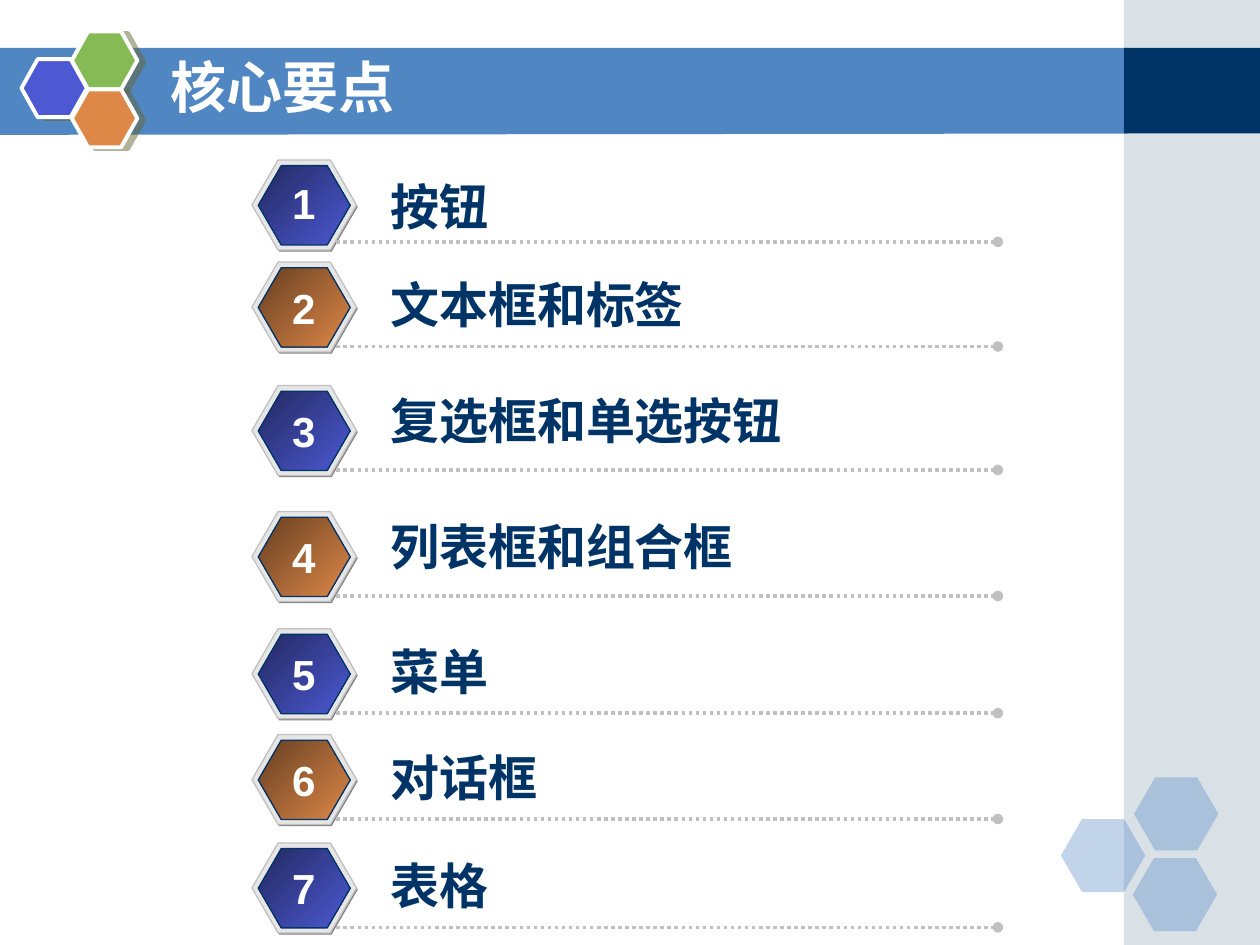
from dataclasses import dataclass
from typing import Any, NamedTuple, Optional

import lxml.etree
import pptx
import pptx.dml.color
import pptx.enum.dml
import pptx.enum.shapes
import pptx.enum.text
import pptx.oxml.ns
import pptx.util

WIDE, HIGH = 10, 7.5
COLS, ROWS = 100, 75  # square grid cells over the whole slide
SHAPE = pptx.enum.shapes.MSO_SHAPE
ALIGN = pptx.enum.text.PP_ALIGN
qn = pptx.oxml.ns.qn


@dataclass(frozen=True)
class Theme:
    band: str = "5086C2"
    navy: str = "003366"
    side: str = "A0B5C4"
    white: str = "FFFFFF"
    blue: str = "4C59D2"
    green: str = "85BA54"
    orange: str = "DE8848"
    shade: str = "666633"
    under: str = "808080"
    rim: str = "E6E6E6"
    gray: str = "C0C0C0"
    ramps: tuple = (("232961", "4C59D2"), ("673F21", "DE8848"))
    latin: str = "Arial"
    asian: str = "Noto Sans CJK SC"
    title: int = 32
    label: int = 28
    digit: int = 24


class Box(NamedTuple):
    """Left, top, width and height in grid cells."""
    left: float
    top: float
    width: float
    height: float


class Point(NamedTuple):
    text: str
    base: float  # row of the dotted line
    rise: float  # rows from the label's top down to the line


THEME = Theme()
POINTS = (
    Point("按钮", 19.2, 5.7),
    Point("文本框和标签", 27.5, 6.2),
    Point("复选框和单选按钮", 37.3, 6.8),
    Point("列表框和组合框", 47.3, 6.8),
    Point("菜单", 56.6, 6.2),
    Point("对话框", 65, 6.2),
    Point("表格", 73.6, 6.2),
)
MARKS = ((1.7, 4.7, THEME.blue), (5.7, 2.5, THEME.green), (5.7, 7.1, THEME.orange))
FAINT = ((84.2, 65), (90, 61.7), (89.9, 68.1))


def col(n: float) -> int:
    return pptx.util.Inches(n * WIDE / COLS)


def row(n: float) -> int:
    return pptx.util.Inches(n * HIGH / ROWS)


def place(box: Box) -> tuple:
    return col(box.left), row(box.top), col(box.width), row(box.height)


def tint(code: str) -> Any:
    return pptx.dml.color.RGBColor.from_string(code)


def fade(color: Any, share: int) -> None:
    """Make a colour element opaque by a share in percent."""
    lxml.etree.SubElement(color, qn("a:alpha"), val=str(share * 1000))


def paint(shape: Any, fill: str, line: Optional[str] = None,
          weight: float = 0.75, share: int = 100) -> None:
    shape.shadow.inherit = False
    shape.fill.solid()
    shape.fill.fore_color.rgb = tint(fill)
    if share < 100:
        fade(next(shape.element.spPr.iter(qn("a:srgbClr"))), share)
    if line:
        shape.line.color.rgb = tint(line)
        shape.line.width = pptx.util.Pt(weight)
    else:
        shape.line.fill.background()


def hexa(shapes: Any, box: Box, adjust: float = 0.29) -> Any:
    shape = shapes.add_shape(SHAPE.HEXAGON, *place(box))
    shape.adjustments[0] = adjust
    return shape


def cast(shape: Any) -> None:
    """Give a shape a hard shadow to its right."""
    effect = shape.element.spPr.find(qn("a:effectLst"))
    drop = lxml.etree.SubElement(
        effect, qn("a:outerShdw"), blurRad="0", dist=str(pptx.util.Pt(4.1)),
        dir=str(14 * 60000), algn="ctr", rotWithShape="0")
    fade(lxml.etree.SubElement(drop, qn("a:srgbClr"), val=THEME.shade), 50)


def write(frame: Any, text: str, size: int, color: str, font: str,
          align: Any = ALIGN.LEFT) -> None:
    para = frame.paragraphs[0]
    para.alignment = align
    run = para.add_run()
    run.text = text
    run.font.size = pptx.util.Pt(size)
    run.font.bold = True
    run.font.name = font
    run.font.color.rgb = tint(color)
    run.font._element.find(qn("a:latin")).addnext(
        run.font._element.makeelement(qn("a:ea"), typeface=THEME.asian))


def note(shapes: Any, box: Box, wrap: bool) -> Any:
    frame = shapes.add_textbox(*place(box)).text_frame
    frame.word_wrap = wrap
    frame.auto_size = pptx.enum.text.MSO_AUTO_SIZE.SHAPE_TO_FIT_TEXT
    return frame


def badge(shapes: Any, top: float, ramp: tuple) -> None:
    group = shapes.add_group_shape().shapes
    paint(hexa(group, Box(20.1, top + 0.13, 8.3, 7.15)), THEME.under)
    paint(hexa(group, Box(20, top, 8.3, 7.15)), THEME.rim, THEME.gray)
    face = hexa(group, Box(20.5, top + 0.45, 7.3, 6.3))
    paint(face, ramp[0], THEME.navy)
    face.fill.gradient()
    face.fill.gradient_angle = 315
    for stop, code in zip(face.fill.gradient_stops, ramp):
        stop.color.rgb = tint(code)


def rule(shapes: Any, base: float) -> None:
    line = shapes.add_connector(pptx.enum.shapes.MSO_CONNECTOR.STRAIGHT,
                                col(26.7), row(base), col(79.2), row(base))
    line.line.color.rgb = tint(THEME.gray)
    line.line.width = pptx.util.Pt(2)
    line.line.dash_style = pptx.enum.dml.MSO_LINE.ROUND_DOT
    props = line.element.spPr
    lxml.etree.SubElement(props.find(qn("a:ln")), qn("a:tailEnd"), type="oval")
    lxml.etree.SubElement(props, qn("a:effectLst"))


def back(shapes: Any) -> None:
    """Draw the band, the side strip and the hexagon clusters."""
    form = shapes.build_freeform(col(-0.1), row(3.8))
    form.add_line_segments([(col(89.5), row(3.8)), (col(89.5), row(10.6)),
                            (col(-0.1), row(10.7))])
    paint(form.convert_to_shape(), THEME.band)
    for top, height, code, share in ((0, ROWS, THEME.side, 40),
                                     (3.8, 6.8, THEME.navy, 100)):
        strip = shapes.add_shape(SHAPE.RECTANGLE,
                                 *place(Box(89.2, top, 10.8, height)))
        paint(strip, code, share=share)
    for left, top in FAINT:
        paint(hexa(shapes, Box(left, top, 6.7, 5.8)), THEME.band, share=35)
    group = shapes.add_group_shape().shapes
    for left, top, code in MARKS:
        mark = hexa(group, Box(left, top, 5.2, 4.6), 0.28)
        paint(mark, code, THEME.white, 2.25)
        cast(mark)


def head(slide: Any) -> None:
    title = slide.shapes.title
    title.left, title.top, title.width, title.height = place(Box(12.5, 3.3, 73.3, 7))
    title.text_frame.vertical_anchor = pptx.enum.text.MSO_ANCHOR.MIDDLE
    write(title.text_frame, "核心要点", THEME.title, THEME.white, THEME.asian)
    slide.shapes._spTree.append(title.element)  # bring above the band


def entry(shapes: Any, rank: int, point: Point) -> None:
    badge(shapes, point.base - 6.7 + (0.2 if rank == 1 else 0),
          THEME.ramps[(rank - 1) % 2])
    rule(shapes, point.base)
    label = note(shapes, Box(30, point.base - point.rise, 47, 5.7), True)
    write(label, point.text, THEME.label, THEME.navy, THEME.latin)
    digit = note(shapes, Box(22.2, point.base - 5.6, 3.8, 5), False)
    write(digit, str(rank), THEME.digit, THEME.white, THEME.latin, ALIGN.CENTER)


def main() -> None:
    deck = pptx.Presentation()
    deck.slide_width = pptx.util.Inches(WIDE)
    deck.slide_height = pptx.util.Inches(HIGH)
    slide = deck.slides.add_slide(deck.slide_layouts[5])
    back(slide.shapes)
    head(slide)
    for rank, point in enumerate(POINTS, 1):
        entry(slide.shapes, rank, point)
    deck.save("out.pptx")


if __name__ == "__main__":
    main()
